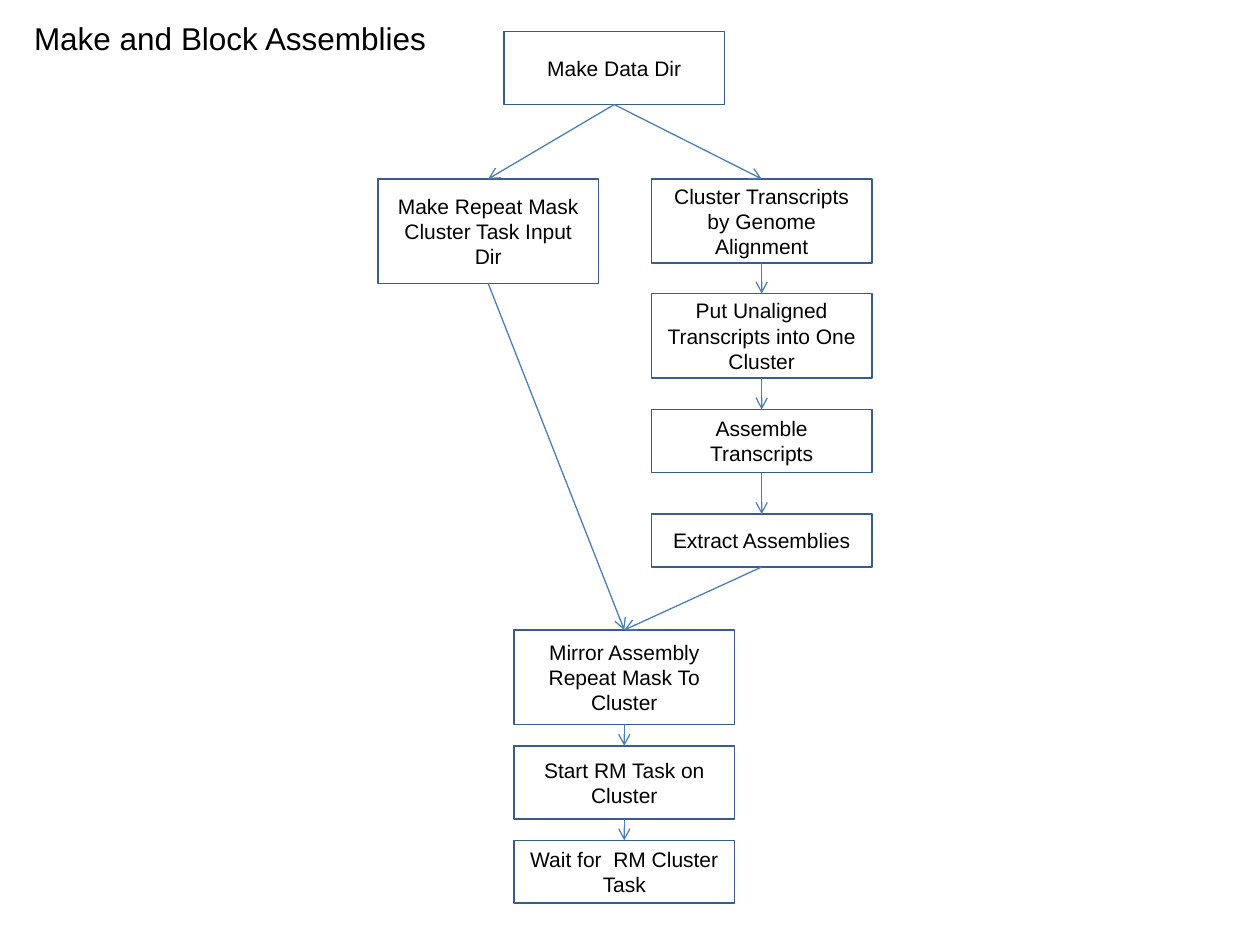
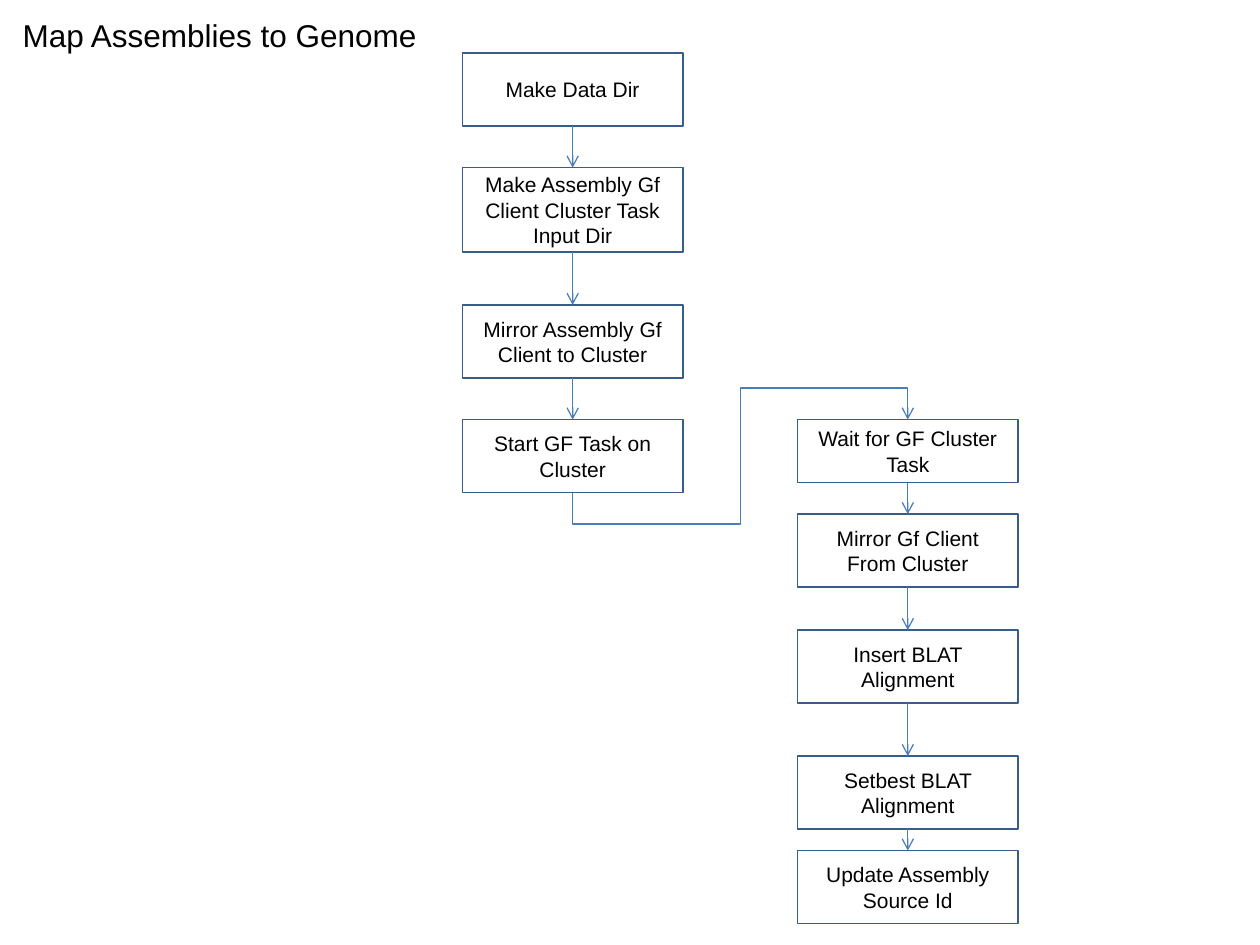
from lxml.etree import SubElement
from pptx import Presentation
from pptx.dml.color import RGBColor
from pptx.enum.shapes import MSO_CONNECTOR, MSO_SHAPE
from pptx.enum.text import MSO_ANCHOR, MSO_AUTO_SIZE, PP_ALIGN
from pptx.oxml.ns import qn
from pptx.util import Inches, Pt

TEXT_COLOUR = "000000"
BOX_LINE = "385D8A"
ARROW_LINE = "4A7EBB"
STEP_WIDTH = 1.75
ELBOW_CLEARANCE = 0.25
TOP, BOTTOM = 0, 2

TITLE_FONT = {"name": "Arial", "size": Pt(18), "bold": False}
STEP_FONT = {"name": "Arial", "size": Pt(12), "bold": False}
MARGINS = {
    "margin_left": Inches(0.1),
    "margin_right": Inches(0.1),
    "margin_top": Inches(0.05),
    "margin_bottom": Inches(0.05),
    "word_wrap": True,
}
TITLE_FRAME = MARGINS | {
    "vertical_anchor": MSO_ANCHOR.TOP,
    "auto_size": MSO_AUTO_SIZE.SHAPE_TO_FIT_TEXT,
}
STEP_FRAME = MARGINS | {"vertical_anchor": MSO_ANCHOR.MIDDLE}


def apply_format(target, values):
    for attribute, value in values.items():
        setattr(target, attribute, value)


def set_colour(colour_format, hex_colour):
    colour_format.rgb = RGBColor.from_string(hex_colour)


def write_text(shape, text, frame_format, font_format, alignment):
    frame = shape.text_frame
    frame.text = text
    apply_format(frame, frame_format)
    paragraph = frame.paragraphs[0]
    paragraph.alignment = alignment
    font = paragraph.runs[0].font
    apply_format(font, font_format)
    set_colour(font.color, TEXT_COLOUR)


def set_line(line, hex_colour, points):
    line.width = Pt(points)
    line.fill.solid()
    set_colour(line.fill.fore_color, hex_colour)


def add_titled_slide(deck, text, left, top, width):
    slide = deck.slides.add_slide(deck.slide_layouts[5])
    title = slide.shapes.title
    apply_format(title, {
        "left": Inches(left), "top": Inches(top),
        "width": Inches(width), "height": Inches(0.4),
    })
    write_text(title, text, TITLE_FRAME, TITLE_FONT, PP_ALIGN.LEFT)
    return slide


def add_step(slide, text, left, top, height):
    step = slide.shapes.add_shape(
        MSO_SHAPE.RECTANGLE,
        Inches(left), Inches(top), Inches(STEP_WIDTH), Inches(height))
    step.shadow.inherit = False
    step.fill.background()
    set_line(step.line, BOX_LINE, 1)
    write_text(step, text, STEP_FRAME, STEP_FONT, PP_ALIGN.CENTER)
    return step


def add_arrow(slide, source, target, kind=MSO_CONNECTOR.STRAIGHT):
    arrow = slide.shapes.add_connector(kind, 0, 0, 0, 0)
    arrow.begin_connect(source, BOTTOM)
    arrow.end_connect(target, TOP)
    set_line(arrow.line, ARROW_LINE, 0.75)
    properties = arrow._element.spPr
    SubElement(properties.find(qn("a:ln")), qn("a:tailEnd"), type="arrow")
    SubElement(properties, qn("a:effectLst"))
    return arrow


def add_wraparound_arrow(slide, source, target):
    arrow = add_arrow(slide, source, target, MSO_CONNECTOR.ELBOW)
    across = arrow.end_x - arrow.begin_x
    rise = arrow.begin_y - arrow.end_y
    centre_x = (arrow.begin_x + arrow.end_x) // 2
    centre_y = (arrow.begin_y + arrow.end_y) // 2
    apply_format(arrow, {
        "left": centre_x - rise // 2, "top": centre_y - across // 2,
        "width": rise, "height": across,
    })
    properties = arrow._element.spPr
    transform = properties.find(qn("a:xfrm"))
    for key, value in {"rot": "5400000", "flipH": "1", "flipV": "1"}.items():
        transform.set(key, value)
    geometry = properties.find(qn("a:prstGeom"))
    geometry.set("prst", "bentConnector5")
    guides = geometry.find(qn("a:avLst"))
    if guides is None:
        guides = SubElement(geometry, qn("a:avLst"))
    overshoot = round(100000 * Inches(ELBOW_CLEARANCE) / rise)
    for number, value in enumerate((-overshoot, 50000, 100000 + overshoot), 1):
        SubElement(guides, qn("a:gd"), name=f"adj{number}", fmla=f"val {value}")


def add_chain(slide, left, steps):
    chain = [add_step(slide, text, left, top, height)
             for text, top, height in steps]
    for source, target in zip(chain, chain[1:]):
        add_arrow(slide, source, target)
    return chain


def build_make_and_block(deck):
    slide = add_titled_slide(deck, "Make and Block Assemblies", 0.17, 0.1, 3.58)
    data_dir = add_step(slide, "Make Data Dir", 4, 0.25, 0.58)
    repeat_mask = add_step(
        slide, "Make Repeat Mask Cluster Task Input Dir", 3, 1.42, 0.83)
    assembly = add_chain(slide, 5.17, [
        ("Cluster Transcripts by Genome Alignment", 1.42, 0.67),
        ("Put Unaligned Transcripts into One Cluster", 2.33, 0.67),
        ("Assemble Transcripts", 3.25, 0.5),
        ("Extract Assemblies", 4.08, 0.42),
    ])
    cluster_run = add_chain(slide, 4.08, [
        ("Mirror Assembly Repeat Mask To Cluster", 5, 0.75),
        ("Start RM Task on Cluster", 5.92, 0.58),
        ("Wait for  RM Cluster Task", 6.67, 0.5),
    ])
    for first, last in ((repeat_mask, repeat_mask), (assembly[0], assembly[-1])):
        add_arrow(slide, data_dir, first)
        add_arrow(slide, last, cluster_run[0])


def build_map_to_genome(deck):
    slide = add_titled_slide(deck, "Map Assemblies to Genome", 0.08, 0.08, 3.5)
    submission = add_chain(slide, 3.67, [
        ("Make Data Dir", 0.42, 0.58),
        ("Make Assembly Gf Client Cluster Task Input Dir", 1.33, 0.67),
        ("Mirror Assembly Gf Client to Cluster", 2.42, 0.58),
        ("Start GF Task on Cluster", 3.33, 0.58),
    ])
    loading = add_chain(slide, 6.33, [
        ("Wait for GF Cluster Task", 3.33, 0.5),
        ("Mirror Gf Client From Cluster", 4.08, 0.58),
        ("Insert BLAT Alignment", 5, 0.58),
        ("Setbest BLAT Alignment", 6, 0.58),
        ("Update Assembly Source Id", 6.75, 0.58),
    ])
    add_wraparound_arrow(slide, submission[-1], loading[0])


def main():
    deck = Presentation()
    deck.slide_width = Inches(10)
    deck.slide_height = Inches(7.5)
    build_make_and_block(deck)
    build_map_to_genome(deck)
    deck.save("out.pptx")


if __name__ == "__main__":
    main()
